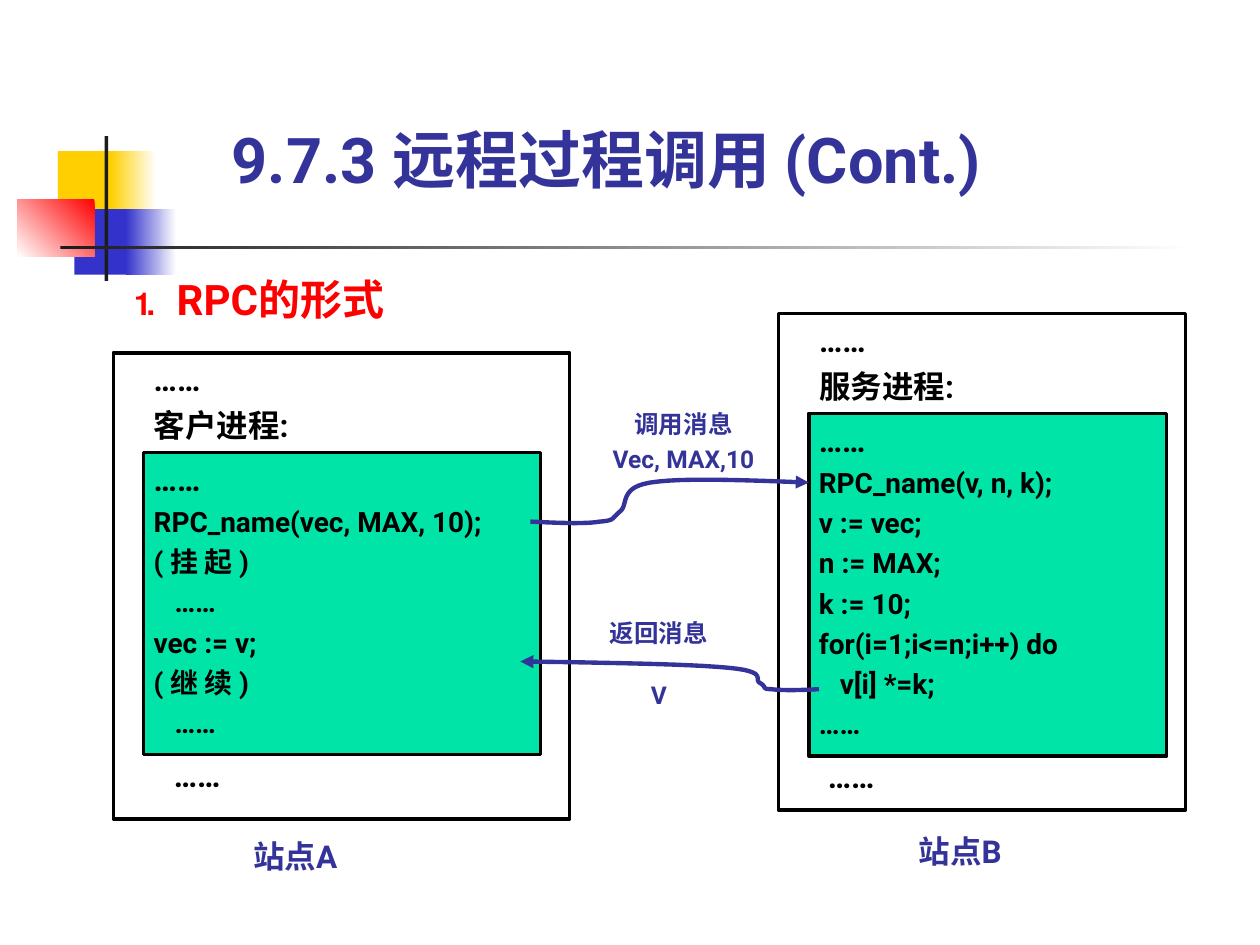
"""Build the remote procedure call slide on a grid of 1000 columns and 750 rows."""
from lxml.etree import SubElement
from pptx import Presentation
from pptx.dml.color import RGBColor
from pptx.enum.shapes import MSO_SHAPE
from pptx.enum.text import MSO_ANCHOR, MSO_AUTO_SIZE, PP_ALIGN
from pptx.oxml.ns import qn
from pptx.util import Inches, Pt

C = {"yellow": "FFCF01", "blue": "3333CC", "red": "FF0000", "dark": "1C1C1C", "white": "FFFFFF",
     "navy": "333399", "green": "00E4A8", "black": "000000"}

prs = Presentation()
prs.slide_width, prs.slide_height = Inches(10), Inches(7.5)
col, row = prs.slide_width // 1000, prs.slide_height // 750
s = prs.slides.add_slide(prs.slide_layouts[5])


def write(tf, text, size=18, color="black", font="Roboto", align=PP_ALIGN.LEFT,
          spacing=1.2, before=0, new=True):
    p = tf.paragraphs[-1]
    if new and p.runs:
        p = tf.add_paragraph()
    p.alignment, p.line_spacing, p.space_before = align, spacing, Pt(before)
    r = p.add_run()
    r.text = text
    r.font.size, r.font.bold, r.font.name = Pt(size), True, font
    r.font.color.rgb = RGBColor.from_string(C[color])
    return p


def place(x, y, w, h, kind="text", fill=None, line=None, fade=None, angle=0):
    at = (x * col, y * row, w * col, h * row)
    if kind == "text":
        sp = s.shapes.add_textbox(*at)
    elif kind == "title":
        sp = s.shapes.title
        sp.left, sp.top, sp.width, sp.height = at
    else:
        sp = s.shapes.add_shape(MSO_SHAPE.RECTANGLE, *at)
        sp.shadow.inherit = False
        if fade:
            sp.fill.gradient()
            sp.fill.gradient_angle = angle
            for stop, name in zip(sp.fill.gradient_stops, (fill, fade)):
                stop.color.rgb = RGBColor.from_string(C[name])
        elif fill:
            sp.fill.solid()
            sp.fill.fore_color.rgb = RGBColor.from_string(C[fill])
        else:
            sp.fill.background()
        if line:
            sp.line.color.rgb = RGBColor.from_string(C[line])
            sp.line.width = Pt(2)
        else:
            sp.line.fill.background()
    tf = sp.text_frame
    tf.word_wrap, tf.auto_size, tf.vertical_anchor = True, MSO_AUTO_SIZE.NONE, MSO_ANCHOR.TOP
    tf.margin_left = tf.margin_right = tf.margin_top = tf.margin_bottom = 0
    return tf


for x, y, w, h, fill, fade, angle in [
    (46, 120, 48, 52, "yellow", None, 0),
    (88, 120, 36, 52, "yellow", "white", 0),
    (59, 166, 46, 52, "blue", None, 0),
    (100, 166, 40, 52, "blue", "white", 0),
    (14, 158, 61, 46, "red", "white", 225),
    (83, 108, 3, 115, "dark", None, 0),
    (48, 195, 900, 3, "dark", "white", 0),
]:
    place(x, y, w, h, "rect", fill=fill, fade=fade, angle=angle)

tf = place(184, 96, 662, 59, "title")
tf.vertical_anchor = MSO_ANCHOR.BOTTOM
for text, font in [("9.7.3 ", "Roboto"), ("远程过程调用 ", "Times New Roman"), ("(Cont.)", "Roboto")]:
    write(tf, text, size=36, color="navy", font=font, spacing=0.8, new=False)

p = write(place(98, 225, 228, 32), "⒈ RPC的形式", size=24, color="red", spacing=0.8)
pPr = p._p.get_or_add_pPr()
pPr.set("marL", str(38 * col))
pPr.set("indent", str(-38 * col))

client = ["……", "RPC_name(vec, MAX, 10);", "( 挂 起 )", "   ……", "vec := v;", "( 继 续 )", "   ……"]
server = ["……", "RPC_name(v, n, k);", "v := vec;", "n := MAX;", "k := 10;",
          "for(i=1;i<=n;i++) do", "   v[i] *=k;", "……"]
for x, y, w, h, code_w, tail_x, site_y, process, site, code in [
    (90, 280, 362, 370, 315, 138, 658, "客户进程:", "站点A", client),
    (618, 249, 323, 394, 284, 657, 654, "服务进程:", "站点B", server),
]:
    place(x, y, w, h, "rect", line="black")
    tf = place(x + 32, y, 118, 72)
    for text in ("……", process):
        write(tf, text)
    code_y, code_h = y + 79, 16 + 32 * len(code)
    tf = place(x + 24, code_y, code_w, code_h, "rect", fill="green", line="black")
    tf.margin_left = tf.margin_right = 8 * col
    for i, text in enumerate(code):
        write(tf, text, size=16 if i else 18)
    write(place(tail_x, code_y + code_h - 5, 71, 36), "……")
    write(place(x + 111, site_y, 70, 72), site, color="navy")

for at, lines, spacing, before in [
    ((468, 320, 149, 56), ("调用消息", "Vec, MAX,10"), 1.2, 0),
    ((468, 489, 110, 74), ("返回消息", "V"), 1.05, 18),
]:
    tf = place(*at)
    for i, text in enumerate(lines):
        write(tf, text, size=14, color="navy", align=PP_ALIGN.CENTER,
              spacing=spacing, before=before * i)

call = [(421, 414), (443, 415), (464, 416), (476, 414), (488, 413), (485, 412), (492, 406),
        (499, 401), (491, 387), (516, 383), (541, 379), (591, 381), (642, 383)]
reply = [(650, 547), (634, 548), (619, 548), (612, 547), (604, 547), (609, 545), (603, 542),
         (598, 539), (610, 533), (578, 530), (546, 527), (480, 526), (413, 525)]
steps = 12
for knots in (call, reply):
    pts = []
    for k in range(0, len(knots) - 1, 3):
        for t in (n / steps for n in range(1, steps + 1)):
            weights = ((1 - t) ** 3, 3 * t * (1 - t) ** 2, 3 * t * t * (1 - t), t ** 3)
            pts.append(tuple(sum(b * q[axis] for b, q in zip(weights, knots[k:k + 4])) * unit
                             for axis, unit in enumerate((col, row))))
    fb = s.shapes.build_freeform(knots[0][0] * col, knots[0][1] * row)
    fb.add_line_segments(pts, close=False)
    sp = fb.convert_to_shape()
    sp.shadow.inherit = False
    sp.fill.background()
    sp.line.color.rgb = RGBColor.from_string(C["navy"])
    sp.line.width = Pt(2.5)
    ln = sp.line._get_or_add_ln()
    SubElement(ln, qn("a:round"))
    SubElement(ln, qn("a:tailEnd"), type="triangle")

prs.save("out.pptx")
